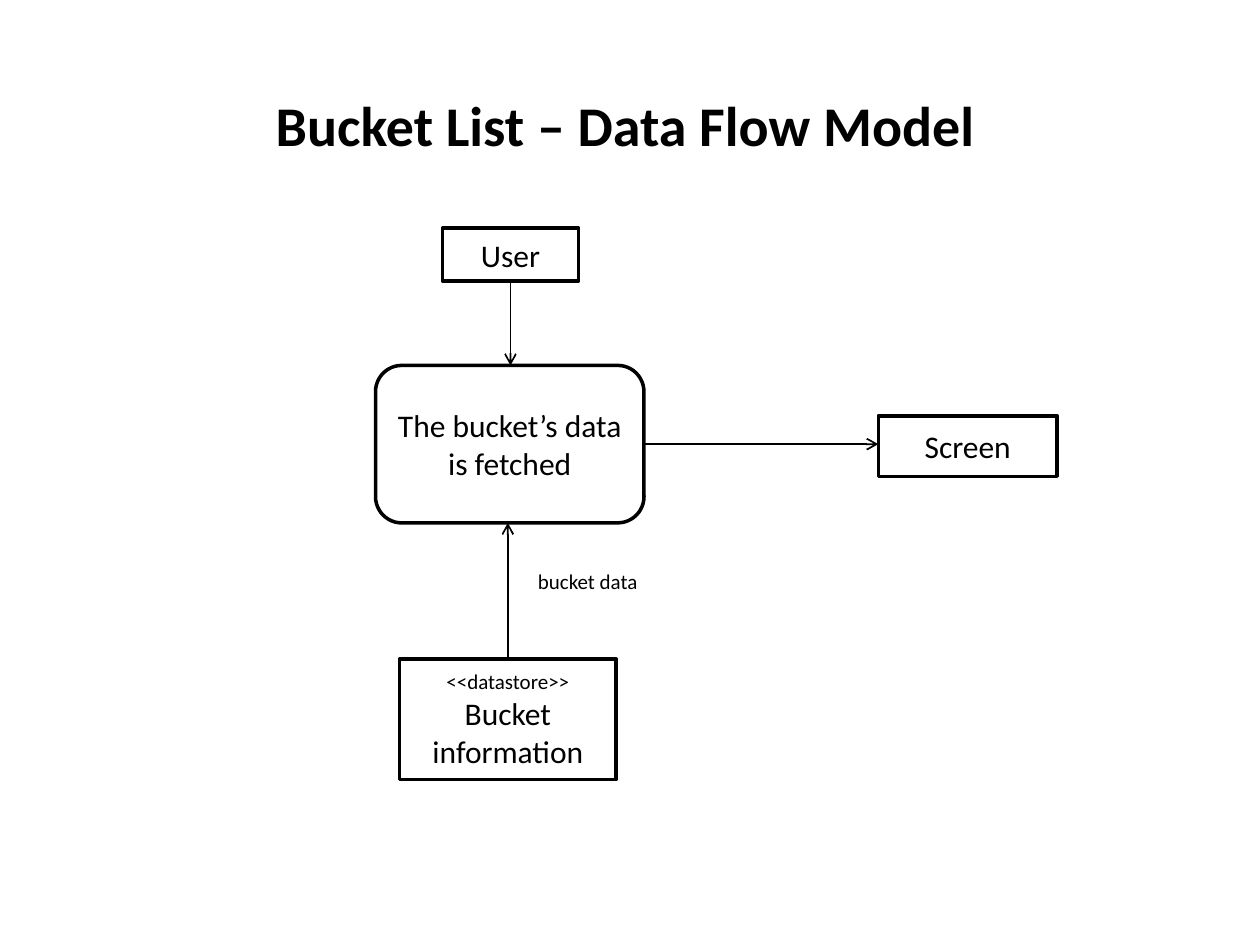
from dataclasses import dataclass

from lxml import etree
from pptx import Presentation
from pptx.dml.color import RGBColor
from pptx.enum.shapes import MSO_CONNECTOR, MSO_SHAPE
from pptx.enum.text import MSO_ANCHOR, MSO_AUTO_SIZE, PP_ALIGN
from pptx.oxml.ns import qn
from pptx.util import Pt

RECTANGLE = MSO_SHAPE.RECTANGLE
ROUNDED = MSO_SHAPE.ROUNDED_RECTANGLE
STRAIGHT = MSO_CONNECTOR.STRAIGHT
MIDDLE = MSO_ANCHOR.MIDDLE
CENTER, LEFT = PP_ALIGN.CENTER, PP_ALIGN.LEFT
GROW = MSO_AUTO_SIZE.SHAPE_TO_FIT_TEXT


@dataclass(frozen=True)
class Theme:
    ink: RGBColor = RGBColor(0, 0, 0)
    font: str = "Calibri"
    title: int = 32
    body: int = 18
    small: int = 12
    border: int = 2
    arrow: int = 1


@dataclass(frozen=True)
class Box:
    left: float
    top: float
    width: float
    height: float

    @property
    def right(self):
        return self.left + self.width

    @property
    def bottom(self):
        return self.top + self.height

    @property
    def center(self):
        return self.left + self.width / 2

    @property
    def middle(self):
        return self.top + self.height / 2

    def inner(self, left, top, width, height):
        return Box(self.left + left, self.top + top, width, height)

    def lengths(self):
        return [Pt(value) for value in (self.left, self.top, self.width, self.height)]


THEME = Theme()


def write(frame, lines, align, bold=False):
    """Fill a text frame with (text, size) lines, one paragraph each."""
    for index, (text, size) in enumerate(lines):
        para = frame.paragraphs[0] if index == 0 else frame.add_paragraph()
        para.alignment = align
        span = para.add_run()
        span.text = text
        formats = {"name": THEME.font, "size": Pt(size), "bold": bold}
        for name, value in formats.items():
            setattr(span.font, name, value)
        span.font.color.rgb = THEME.ink


def add_label(page, box, text, size, wrap=True, bold=False):
    frame = page.shapes.add_textbox(*box.lengths()).text_frame
    frame.word_wrap = wrap
    frame.auto_size = GROW
    write(frame, [(text, size)], LEFT, bold)


def add_node(page, box, kind, lines):
    node = page.shapes.add_shape(kind, *box.lengths())
    node.shadow.inherit = False
    node.fill.background()
    node.line.color.rgb = THEME.ink
    node.line.width = Pt(THEME.border)
    node.text_frame.word_wrap = True
    node.text_frame.vertical_anchor = MIDDLE
    write(node.text_frame, lines, CENTER)


def add_arrow(page, start, end):
    arrow = page.shapes.add_connector(STRAIGHT, *[Pt(value) for value in start + end])
    arrow.line.color.rgb = THEME.ink
    arrow.line.width = Pt(THEME.arrow)
    properties = arrow.line._get_or_add_ln()
    etree.SubElement(properties, qn("a:tailEnd"), type="arrow")
    etree.SubElement(arrow._element.spPr, qn("a:effectLst"))


def add_data_flow(page, box):
    # Nodes
    user = box.inner(38.2, 0, 77.8, 30.2)
    process = box.inner(0, 78.5, 153.4, 90)
    datastore = box.inner(13.7, 246.2, 123.8, 69.1)
    screen = box.inner(287.3, 107.3, 102.2, 34.6)
    nodes = [
        (user, RECTANGLE, [("User", THEME.body)]),
        (process, ROUNDED, [("The bucket’s data is fetched", THEME.body)]),
        (datastore, RECTANGLE, [("<<datastore>>", THEME.small),
                                ("Bucket information", THEME.body)]),
        (screen, RECTANGLE, [("Screen", THEME.body)]),
    ]
    for place, kind, lines in nodes:
        add_node(page, place, kind, lines)

    # Flows, each leaving the centre of its source's side
    flows = [
        ((user.center, user.bottom), (user.center, process.top)),
        ((process.right, process.middle), (screen.left, process.middle)),
        ((datastore.center, datastore.top), (datastore.center, process.bottom)),
    ]
    for start, end in flows:
        add_arrow(page, start, end)
    add_label(page, box.inner(85.7, 190.8, 107.3, 21.6), "bucket data", THEME.small)


def main():
    deck = Presentation()
    deck.slide_width, deck.slide_height = Pt(720), Pt(540)
    page = deck.slides.add_slide(deck.slide_layouts[6])
    add_data_flow(page, Box(214.6, 130.3, 389.5, 315.3))
    add_label(page, Box(150.5, 48.2, 417.6, 46.1), "Bucket List – Data Flow Model",
              THEME.title, wrap=False, bold=True)
    deck.save("out.pptx")


if __name__ == "__main__":
    main()
